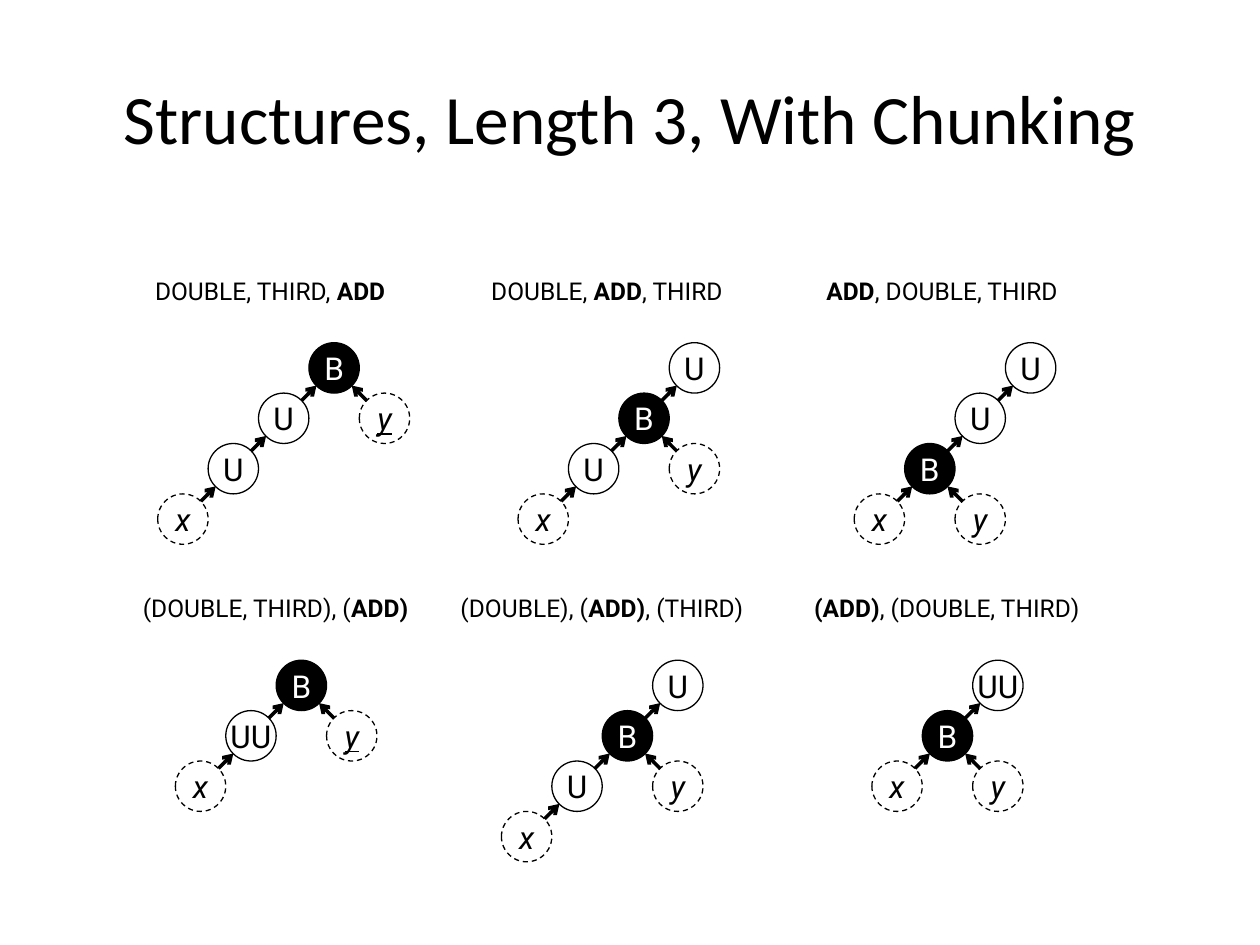
import pptx
import pptx.util
import pptx.dml.color
import pptx.enum.dml
import pptx.enum.shapes
import pptx.enum.text
import pptx.oxml.ns
import lxml.etree

COLORS = {"ink": "000000", "paper": "FFFFFF"}
CELL = 0.4
CENTER = pptx.enum.text.PP_ALIGN.CENTER
LEFT = pptx.enum.text.PP_ALIGN.LEFT
MIDDLE = pptx.enum.text.MSO_ANCHOR.MIDDLE
FIT = pptx.enum.text.MSO_AUTO_SIZE

NODE = {"margin_left": 0, "margin_right": 0, "margin_top": 0, "margin_bottom": 0,
        "vertical_anchor": MIDDLE}
LABEL = {"word_wrap": False, "auto_size": FIT.SHAPE_TO_FIT_TEXT}
HEAD = {"vertical_anchor": MIDDLE, "word_wrap": True, "auto_size": FIT.NONE}


def dress(item, values):
    for name, value in values.items():
        setattr(item, name, value)


def color(name):
    return pptx.dml.color.RGBColor.from_string(COLORS[name])


def cells(*sizes):
    return [pptx.util.Inches(size * CELL) for size in sizes]


class Board:
    def __init__(self, deck):
        self.slide = deck.slides.add_slide(deck.slide_layouts[5])
        self.shapes = self.slide.shapes

    def words(self, par, text, size, face="Roboto", ink="ink", **marks):
        run = par.add_run()
        run.text = text
        dress(run.font, {"size": pptx.util.Pt(size), "name": face, **marks})
        run.font.color.rgb = color(ink)

    def title(self, text, *box):
        shape = self.shapes.title
        dress(shape, dict(zip(("left", "top", "width", "height"), cells(*box))))
        dress(shape.text_frame, HEAD)
        par = shape.text_frame.paragraphs[0]
        par.alignment = CENTER
        self.words(par, text, 39.6, "Calibri")

    def label(self, text, align, *box):
        frame = self.shapes.add_textbox(*cells(*box)).text_frame
        dress(frame, LABEL)
        par = frame.paragraphs[0]
        par.alignment = align
        for index, part in enumerate(text.split("*")):
            if part:
                self.words(par, part, 14, bold=index % 2 == 1)

    def node(self, text, col, row, under=False):
        kind = pptx.enum.shapes.MSO_SHAPE.OVAL
        shape = self.shapes.add_shape(kind, *cells(col, row, 1, 1))
        shape.shadow.inherit = False
        fill, ink = ("ink", "paper") if text == "B" else ("paper", "ink")
        shape.fill.solid()
        shape.fill.fore_color.rgb = color(fill)
        shape.line.color.rgb = color("ink")
        shape.line.width = pptx.util.Pt(0.75)
        leaf = text in ("x", "y")
        if leaf:
            shape.line.dash_style = pptx.enum.dml.MSO_LINE.DASH
        dress(shape.text_frame, {**NODE, "word_wrap": len(text) == 1})
        par = shape.text_frame.paragraphs[0]
        par.alignment = CENTER
        self.words(par, text, 18, ink=ink, italic=leaf, underline=under)

    def arrow(self, col, row, side):
        ends = cells(col + 0.5 + side * 0.35, row + 0.85,
                     col + 0.5 + side * 0.65, row + 1.15)
        kind = pptx.enum.shapes.MSO_CONNECTOR.STRAIGHT
        link = self.shapes.add_connector(kind, *ends)
        link.line.color.rgb = color("ink")
        link.line.width = pptx.util.Pt(2)
        tag = pptx.oxml.ns.qn
        props = link.element.spPr
        head = lxml.etree.SubElement(props.find(tag("a:ln")), tag("a:headEnd"))
        head.set("type", "arrow")
        lxml.etree.SubElement(props, tag("a:effectLst"))

    def tree(self, chain, col, row):
        for step, text in enumerate(chain):
            here, down = col - step, row + step
            self.node(text, here, down)
            if text != "x":
                self.arrow(here, down, -1)
            if text == "B":
                self.node("y", here + 1, down + 1, under=step == 0)
                self.arrow(here, down, 1)


ROWS = [
    (6.8, LEFT, [
        ("DOUBLE, THIRD, *ADD*", 2.83, 5.58, "B U U x", 6.13),
        ("DOUBLE, *ADD*, THIRD", 9.5, 5.58, "U B U x", 13.28),
        ("*ADD*, DOUBLE, THIRD", 16.15, 5.6, "U U B x", 19.95),
    ]),
    (13.1, CENTER, [
        ("(DOUBLE, THIRD), (*ADD)*", 2.33, 6.28, "B UU x", 5.48),
        ("(DOUBLE), (*ADD)*, (THIRD)", 8.63, 6.63, "U B U x", 12.95),
        ("*(ADD)*, (DOUBLE, THIRD)", 15.65, 6.28, "UU B x", 19.3),
    ]),
]


def main():
    deck = pptx.Presentation()
    deck.slide_width = pptx.util.Inches(10)
    deck.slide_height = pptx.util.Inches(7.5)
    board = Board(deck)
    board.title("Structures, Length 3, With Chunking", 1.25, 0.75, 22.5, 3.13)
    for row, align, trees in ROWS:
        for text, left, width, chain, col in trees:
            board.label(text, align, left, row - 1.45, width, 0.85)
            board.tree(chain.split(), col, row)
    deck.save("out.pptx")


if __name__ == "__main__":
    main()
